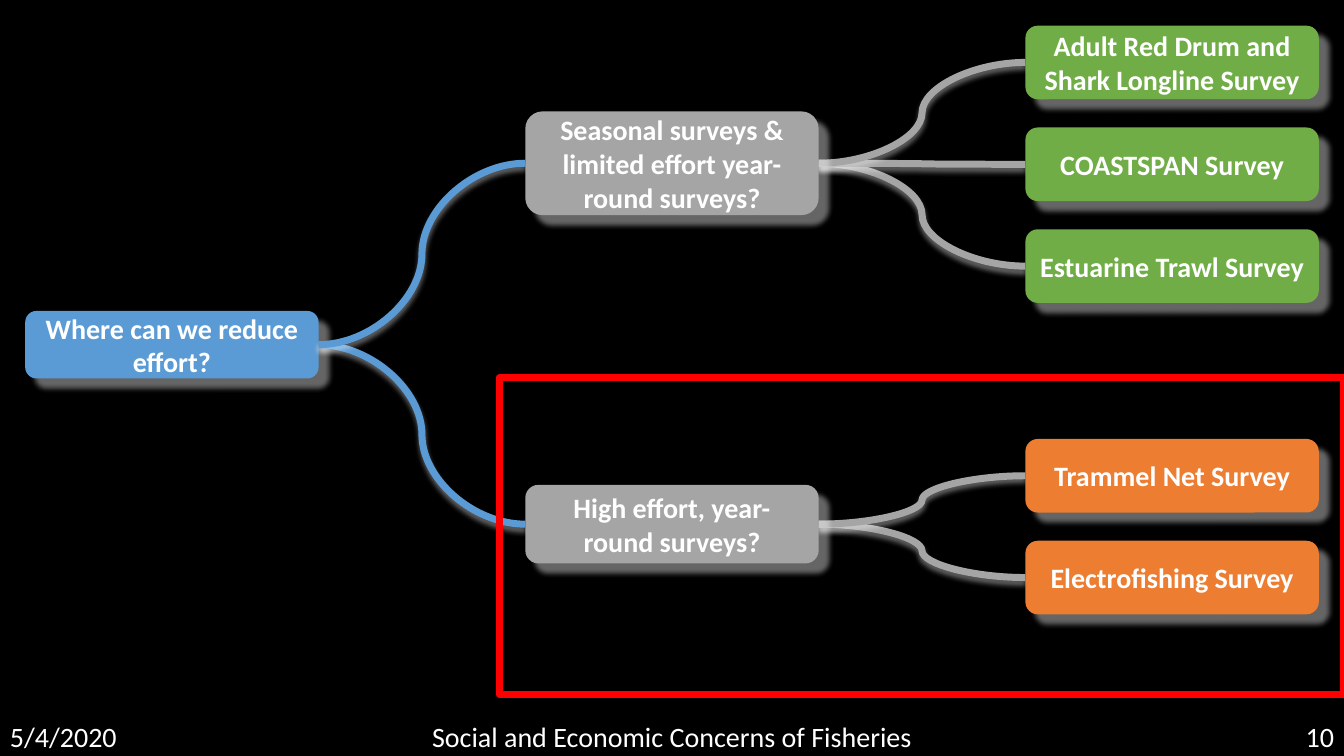
from dataclasses import dataclass

from lxml import etree
from pptx import Presentation
from pptx.dml.color import RGBColor
from pptx.enum.shapes import MSO_CONNECTOR, MSO_SHAPE
from pptx.enum.text import MSO_ANCHOR, PP_ALIGN
from pptx.oxml.ns import qn
from pptx.util import Inches, Pt

CURVE = MSO_CONNECTOR.CURVE
RECTANGLE, ROUNDED = MSO_SHAPE.RECTANGLE, MSO_SHAPE.ROUNDED_RECTANGLE
MIDDLE = MSO_ANCHOR.MIDDLE
LEFT, CENTER, RIGHT = PP_ALIGN.LEFT, PP_ALIGN.CENTER, PP_ALIGN.RIGHT
LEFT_SITE, RIGHT_SITE = 1, 3


@dataclass(frozen=True)
class Theme:
    font: str = "Calibri"
    size: int = 20
    stroke: int = 5
    black: str = "000000"
    white: str = "FFFFFF"
    blue: str = "5B9BD5"
    gray: str = "A5A5A5"
    green: str = "70AD47"
    orange: str = "ED7D31"
    red: str = "FF0000"


THEME = Theme()
WIDTH, HEIGHT = 13.33, 7.5
MARGIN = 0.25
NODE_WIDTH = 2.91
COLUMN_STEP = (WIDTH - 2 * MARGIN - NODE_WIDTH) / 2
LEAF_HEIGHT, LEAF_STEP = 0.73, 1.01
FOOTER_HEIGHT = 0.4

ROOT = ("Where can we reduce effort?", 3.42, 0.67)
BRANCHES = [
    {
        "node": ("Seasonal surveys & limited effort year-round surveys?", 1.62, 1.03),
        "color": THEME.green,
        "first": 0.62,
        "leaves": [
            "Adult Red Drum and Shark Longline Survey",
            "COASTSPAN Survey",
            "Estuarine Trawl Survey",
        ],
    },
    {
        "node": ("High effort, year-round surveys?", 5.2, 0.78),
        "color": THEME.orange,
        "first": 4.72,
        "leaves": ["Trammel Net Survey", "Electrofishing Survey"],
    },
]
HIGHLIGHT = (4.95, 3.75, 8.38, 3.14)
FOOTER = [
    ("5/4/2020", 0, 3, LEFT),
    ("Social and Economic Concerns of Fisheries", (WIDTH - 6) / 2, 6, CENTER),
    ("10", WIDTH - 3, 3, RIGHT),
]


def color(value):
    return RGBColor.from_string(value)


def write(box, text, align=CENTER, bold=False):
    frame = box.text_frame
    frame.word_wrap = True
    frame.vertical_anchor = MIDDLE
    para = frame.paragraphs[0]
    para.alignment = align
    span = para.add_run()
    span.text = text
    span.font.name = THEME.font
    span.font.size = Pt(THEME.size)
    span.font.bold = bold
    span.font.color.rgb = color(THEME.white)


def add_shadow(effects, distance, angle):
    shadow = etree.SubElement(
        effects, qn("a:outerShdw"), blurRad=str(Pt(4)), dist=str(Pt(distance)),
        dir=str(angle * 60000), algn="tl", rotWithShape="0",
    )
    tint = etree.SubElement(shadow, qn("a:srgbClr"), val=THEME.white)
    etree.SubElement(tint, qn("a:alpha"), val="40000")


def add_box(page, kind, left, top, width, height, fill=None, line=None, weight=1):
    box = page.shapes.add_shape(kind, *map(Inches, (left, top, width, height)))
    box.shadow.inherit = False
    if fill:
        box.fill.solid()
        box.fill.fore_color.rgb = color(fill)
    else:
        box.fill.background()
    if line:
        box.line.color.rgb = color(line)
        box.line.width = Pt(weight)
    else:
        box.line.fill.background()
    return box


def add_node(page, text, column, middle, height, fill):
    left = MARGIN + column * COLUMN_STEP
    box = add_box(page, ROUNDED, left, middle - height / 2, NODE_WIDTH, height, fill)
    add_shadow(box.element.spPr.find(qn("a:effectLst")), 10, 45)
    write(box, text, bold=True)
    return box


def add_link(page, parent, child, tint, root):
    link = page.shapes.add_connector(CURVE, 0, 0, 0, 0)
    link.begin_connect(parent, RIGHT_SITE)
    link.end_connect(child, LEFT_SITE)
    link.line.color.rgb = color(tint)
    link.line.width = Pt(THEME.stroke)
    effects = etree.SubElement(link.element.spPr, qn("a:effectLst"))
    add_shadow(effects, 3, 90)
    root.element.addnext(link.element)


def add_footer(page):
    top = HEIGHT - FOOTER_HEIGHT
    add_box(page, RECTANGLE, 0, top, WIDTH, FOOTER_HEIGHT, THEME.black, THEME.black)
    for text, left, width, align in FOOTER:
        box = page.shapes.add_textbox(*map(Inches, (left, top, width, FOOTER_HEIGHT)))
        write(box, text, align=align)


def add_tree(page):
    text, middle, height = ROOT
    root = add_node(page, text, 0, middle, height, THEME.blue)
    for branch in BRANCHES:
        text, middle, height = branch["node"]
        node = add_node(page, text, 1, middle, height, THEME.gray)
        add_link(page, root, node, THEME.blue, root)
        for row, name in enumerate(branch["leaves"]):
            middle = branch["first"] + row * LEAF_STEP
            leaf = add_node(page, name, 2, middle, LEAF_HEIGHT, branch["color"])
            add_link(page, node, leaf, THEME.gray, root)


def main():
    deck = Presentation()
    deck.slide_width, deck.slide_height = Inches(WIDTH), Inches(HEIGHT)
    page = deck.slides.add_slide(deck.slide_layouts[6])
    page.background.fill.solid()
    page.background.fill.fore_color.rgb = color(THEME.black)
    add_footer(page)
    add_tree(page)
    add_box(page, RECTANGLE, *HIGHLIGHT, line=THEME.red, weight=THEME.stroke)
    deck.save("out.pptx")


if __name__ == "__main__":
    main()
